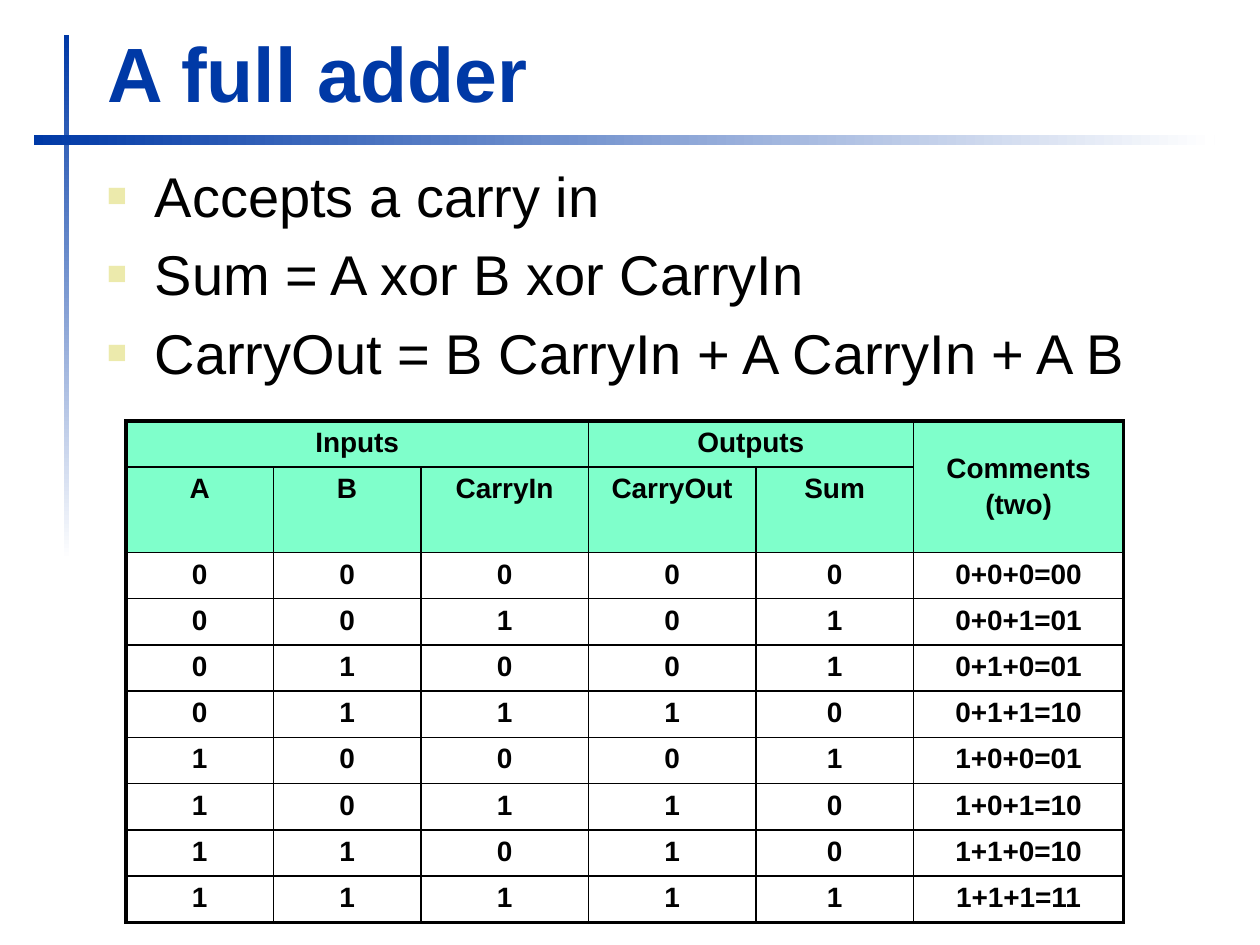
from dataclasses import dataclass

from lxml import etree
from pptx import Presentation
from pptx.dml.color import RGBColor
from pptx.enum.shapes import MSO_SHAPE
from pptx.enum.text import MSO_ANCHOR, PP_ALIGN
from pptx.oxml.ns import qn
from pptx.util import Inches, Pt

RECTANGLE = MSO_SHAPE.RECTANGLE
BOTTOM, MIDDLE, TOP = MSO_ANCHOR.BOTTOM, MSO_ANCHOR.MIDDLE, MSO_ANCHOR.TOP
LEFT, CENTER = PP_ALIGN.LEFT, PP_ALIGN.CENTER

TITLE = "A full adder"
BULLETS = [
    "Accepts a carry in",
    "Sum = A xor B xor CarryIn",
    "CarryOut = B CarryIn + A CarryIn + A B",
]
HEADERS = [
    ["Inputs", "", "", "Outputs", "", "Comments\n(two)"],
    ["A", "B", "CarryIn", "CarryOut", "Sum", ""],
]
TRUTH_ROWS = [
    ["0", "0", "0", "0", "0", "0+0+0=00"],
    ["0", "0", "1", "0", "1", "0+0+1=01"],
    ["0", "1", "0", "0", "1", "0+1+0=01"],
    ["0", "1", "1", "1", "0", "0+1+1=10"],
    ["1", "0", "0", "0", "1", "1+0+0=01"],
    ["1", "0", "1", "1", "0", "1+0+1=10"],
    ["1", "1", "0", "1", "0", "1+1+0=10"],
    ["1", "1", "1", "1", "1", "1+1+1=11"],
]
MERGES = [((0, 0), (0, 2)), ((0, 3), (0, 4)), ((0, 5), (1, 5))]
COLUMN_WIDTHS = [1.17, 1.17, 1.33, 1.33, 1.25, 1.67]
ROW_HEIGHT = 0.34
# left, top, width, height, gradient angle (counter-clockwise)
RULES = [(0.51, 0.28, 0.04, 4.17, 270), (0.27, 1.07, 9.37, 0.08, 0)]


@dataclass(frozen=True)
class Theme:
    font: str = "Arial"
    title: str = "0039A6"
    paper: str = "FFFFFF"
    ink: str = "000000"
    bullet: str = "ECEAAC"
    header: str = "00FF99"
    title_size: int = 44
    body_size: int = 32
    table_size: int = 16
    outer_line: float = 2.25
    inner_line: float = 1


THEME = Theme()


def rgb(value):
    return RGBColor.from_string(value)


def add_xml(parent, tag, **attributes):
    names = {name: str(value) for name, value in attributes.items()}
    return etree.SubElement(parent, qn(tag), names)


def style(p, size, color, bold=False, align=LEFT):
    p.alignment = align
    p.font.name = THEME.font
    p.font.size = Pt(size)
    p.font.bold = bold
    p.font.color.rgb = rgb(color)


def space_before(p, percent=20):
    """Add paragraph spacing relative to the text size."""
    spacing = add_xml(p._p.get_or_add_pPr(), "a:spcBef")
    add_xml(spacing, "a:spcPct", val=percent * 1000)


def add_bullet(p):
    pPr = p._p.get_or_add_pPr()
    pPr.set("marL", str(Inches(0.38)))
    pPr.set("indent", str(-Inches(0.38)))
    add_xml(add_xml(pPr, "a:buClr"), "a:srgbClr", val=THEME.bullet)
    add_xml(pPr, "a:buSzPct", val=60000)
    add_xml(pPr, "a:buFont", typeface=THEME.font)
    add_xml(pPr, "a:buChar", char="■")


def add_rule(slide, left, top, width, height, angle):
    sp = slide.shapes.add_shape(
        RECTANGLE, Inches(left), Inches(top), Inches(width), Inches(height))
    sp.shadow.inherit = False
    sp.line.fill.background()
    sp.fill.gradient()
    sp.fill.gradient_angle = angle
    for stop, color, position in zip(
            sp.fill.gradient_stops, (THEME.title, THEME.paper), (0, 1)):
        stop.color.rgb = rgb(color)
        stop.position = position


def set_title(slide):
    title = slide.shapes.title
    title.left, title.top = Inches(0.75), Inches(0.16)
    title.width, title.height = Inches(9.03), Inches(0.83)
    tf = title.text_frame
    tf.text = TITLE
    tf.vertical_anchor = BOTTOM
    style(tf.paragraphs[0], THEME.title_size, THEME.title, bold=True)


def add_body(slide):
    box = slide.shapes.add_textbox(
        Inches(0.75), Inches(1.23), Inches(9.05), Inches(5.59))
    tf = box.text_frame
    tf.word_wrap = True
    tf.text = "\n".join(BULLETS)
    for p in tf.paragraphs:
        style(p, THEME.body_size, THEME.ink)
        space_before(p)
        add_bullet(p)


def set_borders(cell, outer_sides):
    tcPr = cell._tc.get_or_add_tcPr()
    for side in "LRTB":
        width = THEME.outer_line if side in outer_sides else THEME.inner_line
        line = add_xml(tcPr, f"a:ln{side}", w=Pt(width))
        add_xml(add_xml(line, "a:solidFill"), "a:srgbClr", val=THEME.ink)


def fill_header(cell):
    cell.fill.solid()
    cell.fill.fore_color.rgb = rgb(THEME.header)
    color = cell._tc.tcPr.find(".//" + qn("a:solidFill") + "[last()]")
    color = cell._tc.tcPr.find(qn("a:solidFill")).find(qn("a:srgbClr"))
    add_xml(color, "a:alpha", val=50000)


def add_truth_table(slide):
    rows = HEADERS + TRUTH_ROWS
    last_row, last_column = len(rows) - 1, len(COLUMN_WIDTHS) - 1
    table = slide.shapes.add_table(
        len(rows), len(COLUMN_WIDTHS), Inches(1), Inches(3.34),
        Inches(sum(COLUMN_WIDTHS)), Inches(ROW_HEIGHT * len(rows))).table
    table.first_row = table.horz_banding = False
    for column, width in zip(table.columns, COLUMN_WIDTHS):
        column.width = Inches(width)
    for row in table.rows:
        row.height = Inches(ROW_HEIGHT)
    for start, end in MERGES:
        table.cell(*start).merge(table.cell(*end))

    for r, texts in enumerate(rows):
        for c, text in enumerate(texts):
            cell = table.cell(r, c)
            edges = {"L": c == 0, "R": c == last_column,
                     "T": r == 0, "B": r == last_row}
            set_borders(cell, [side for side, outer in edges.items() if outer])
            if r < len(HEADERS):
                fill_header(cell)
            else:
                cell.fill.background()
            cell.vertical_anchor = MIDDLE if "\n" in text else TOP
            cell.text = text
            for p in cell.text_frame.paragraphs:
                style(p, THEME.table_size, THEME.ink, bold=True, align=CENTER)
                space_before(p)


def main():
    prs = Presentation()
    prs.slide_width, prs.slide_height = Inches(10), Inches(7.5)
    slide = prs.slides.add_slide(prs.slide_layouts.get_by_name("Title Only"))
    slide.background.fill.solid()
    slide.background.fill.fore_color.rgb = rgb(THEME.paper)
    for rule in RULES:
        add_rule(slide, *rule)
    set_title(slide)
    add_body(slide)
    add_truth_table(slide)
    prs.save("out.pptx")


if __name__ == "__main__":
    main()
